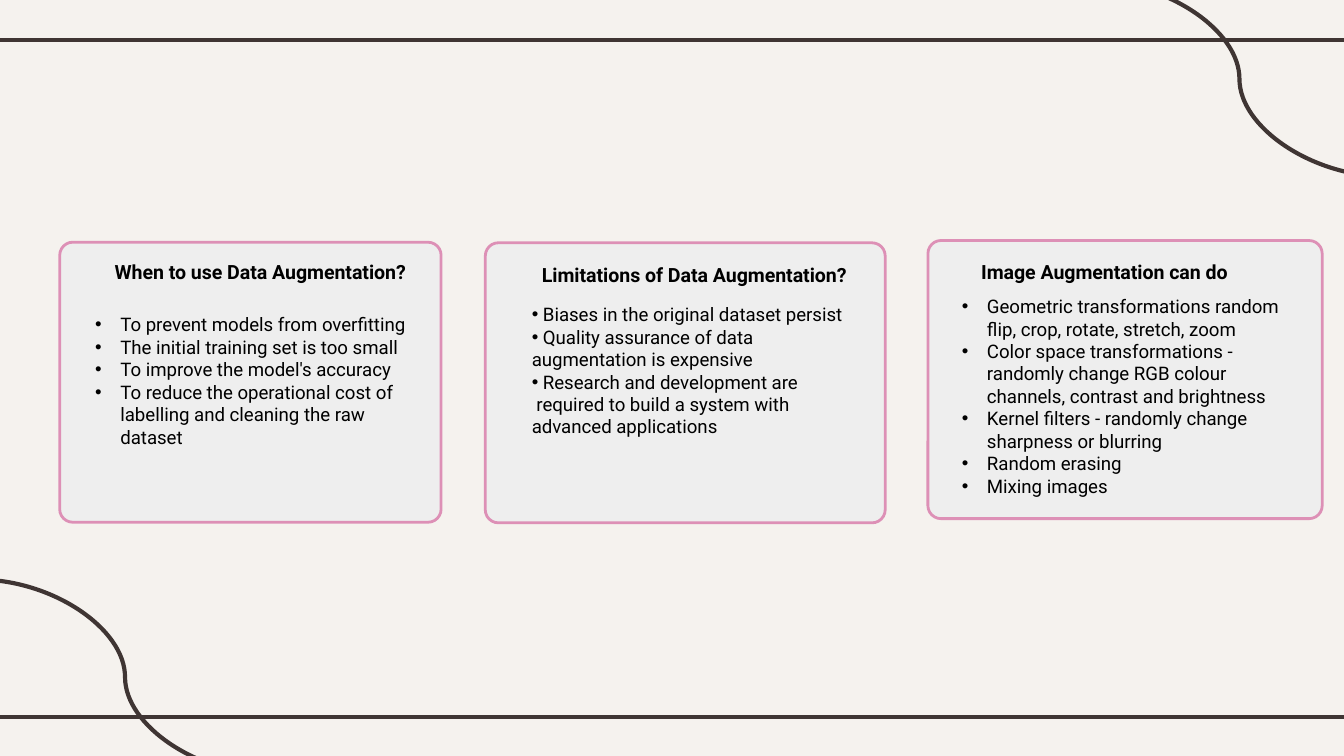
from dataclasses import dataclass
from typing import Optional

from lxml.etree import SubElement
from pptx import Presentation
from pptx.dml.color import RGBColor
from pptx.enum.shapes import MSO_CONNECTOR as Connector, MSO_SHAPE as Shape
from pptx.enum.text import MSO_ANCHOR as Anchor, MSO_AUTO_SIZE as AutoSize, PP_ALIGN as Align
from pptx.oxml.ns import qn
from pptx.util import Pt

BACKGROUND = RGBColor(0xF5, 0xF2, 0xEE)
LINE_BROWN = RGBColor(0x3F, 0x35, 0x33)
CARD_FILL = RGBColor(0xEE, 0xEE, 0xEE)
CARD_BORDER = RGBColor(0xDD, 0x90, 0xB6)
TEXT_BLACK = RGBColor(0, 0, 0)

FONT = "Roboto"
WIDTH, HEIGHT = 720, 405
LIST_WIDTH, HEADING_WIDTH, HEADING_HEIGHT = 189.4, 182, 27.4
CORNER_RADIUS = 7


@dataclass(frozen=True)
class Box:
    left: float
    top: float
    width: float
    height: float


@dataclass(frozen=True)
class Item:
    text: str
    margin: float = 13.5
    indent: float = -13.5
    bullet: bool = True


@dataclass(frozen=True)
class Card:
    frame: Box
    heading: str
    heading_box: Box
    heading_holder: int
    items: list[Item]
    list_box: Box
    list_holder: Optional[int]  # None: the layout has no placeholder left


def heading_at(left: float, top: float) -> Box:
    return Box(left, top, HEADING_WIDTH, HEADING_HEIGHT)


def tight(text: str) -> Item:
    """A bulleted item whose wrapped lines return to the margin."""
    return Item(text, 0, -5)


CARDS = [
    Card(
        Box(32, 129.8, 204.3, 150),
        "When to use Data Augmentation?", heading_at(54.2, 131.9), 0,
        [
            Item("To prevent models from overfitting"),
            Item("The initial training set is too small"),
            Item("To improve the model's accuracy"),
            Item("To reduce the operational cost of labelling and cleaning the raw dataset"),
        ],
        Box(43.8, 164.2, LIST_WIDTH, 115), 2,
    ),
    Card(
        Box(260, 130.1, 214.2, 150),
        "Limitations of Data Augmentation?", heading_at(283.1, 133.5), 1,
        [
            tight(" Biases in the original dataset persist"),
            tight(" Quality assurance of data augmentation is expensive"),
            tight(" Research and development are"),
            Item(" required to build a system with advanced applications", 0, 0, False),
        ],
        Box(277.7, 158.8, LIST_WIDTH, 80), 4,
    ),
    Card(
        Box(497.1, 128.9, 211.2, 149),
        "Image Augmentation can do", heading_at(518.4, 131.9), 3,
        [
            Item("Geometric transformations random flip, crop, rotate, stretch, zoom"),
            Item("Color space transformations - randomly change RGB colour channels, "
                 "contrast and brightness"),
            Item("Kernel filters - randomly change sharpness or blurring"),
            Item("Random erasing"),
            Item("Mixing images"),
        ],
        Box(508.2, 154.5, LIST_WIDTH, 128), None,
    ),
]


def add_line(slide, kind, left: float, top: float, right: float, bottom: float) -> None:
    connector = slide.shapes.add_connector(kind, Pt(left), Pt(top), Pt(right), Pt(bottom))
    connector.line.color.rgb = LINE_BROWN
    connector.line.width = Pt(2.25)
    SubElement(connector.element.spPr, qn("a:effectLst"))


def add_frame(slide, box: Box) -> None:
    shape = slide.shapes.add_shape(
        Shape.ROUNDED_RECTANGLE, Pt(box.left), Pt(box.top), Pt(box.width), Pt(box.height))
    shape.adjustments[0] = CORNER_RADIUS / box.height
    shape.shadow.inherit = False
    shape.fill.solid()
    shape.fill.fore_color.rgb = CARD_FILL
    shape.line.color.rgb = CARD_BORDER
    shape.line.width = Pt(1.5)


def place_text(slide, holder: Optional[int], box: Box, items: list[Item],
               size: float, bold: bool, inset: float) -> None:
    """Fill a placeholder, or a text box, and bring it to the front."""
    if holder is None:
        shape = slide.shapes.add_textbox(0, 0, 0, 0)
    else:
        shape = next(p for p in slide.placeholders if p.placeholder_format.idx == holder)
        slide.shapes.element.append(shape.element)
    shape.left, shape.top = Pt(box.left), Pt(box.top)
    shape.width, shape.height = Pt(box.width), Pt(box.height)

    frame = shape.text_frame
    frame.word_wrap = True
    frame.auto_size = AutoSize.NONE
    frame.vertical_anchor = Anchor.TOP
    frame.margin_left = frame.margin_right = Pt(7.2)
    frame.margin_top = frame.margin_bottom = Pt(inset)

    for index, item in enumerate(items):
        paragraph = frame.paragraphs[0] if index == 0 else frame.add_paragraph()
        paragraph.alignment = Align.LEFT
        paragraph.space_before = paragraph.space_after = Pt(0)
        paragraph.line_spacing = 1.0
        set_bullet(paragraph, item)
        run = paragraph.add_run()
        run.text = item.text
        run.font.name = FONT
        run.font.size = Pt(size)
        run.font.bold = bold
        run.font.color.rgb = TEXT_BLACK


def set_bullet(paragraph, item: Item) -> None:
    properties = paragraph._p.get_or_add_pPr()
    properties.set("marL", str(Pt(item.margin)))
    properties.set("indent", str(Pt(item.indent)))
    if not item.bullet:
        SubElement(properties, qn("a:buNone"))
        return
    color = SubElement(properties, qn("a:buClr"))
    SubElement(color, qn("a:srgbClr"), val=str(TEXT_BLACK))
    SubElement(properties, qn("a:buFont"), typeface="Arial")
    SubElement(properties, qn("a:buChar"), char="•")


def main() -> None:
    presentation = Presentation()
    presentation.slide_width, presentation.slide_height = Pt(WIDTH), Pt(HEIGHT)
    slide = presentation.slides.add_slide(presentation.slide_layouts.get_by_name("Comparison"))
    slide.background.fill.solid()
    slide.background.fill.fore_color.rgb = BACKGROUND

    # Rules and corner curves
    for y in (384, 21.4):
        add_line(slide, Connector.STRAIGHT, -6, y, WIDTH + 6, y)
    for left, top in ((585.5, -10), (-11.5, 310.5)):
        add_line(slide, Connector.CURVE, left, top, left + 157, top + 104.6)

    # Cards with heading and list
    for card in CARDS:
        add_frame(slide, card.frame)
        place_text(slide, card.heading_holder, card.heading_box,
                   [Item(card.heading, 0, 0, False)], 10.5, True, 7.2)
        place_text(slide, card.list_holder, card.list_box, card.items, 10, False, 3.6)

    presentation.save("out.pptx")


if __name__ == "__main__":
    main()
